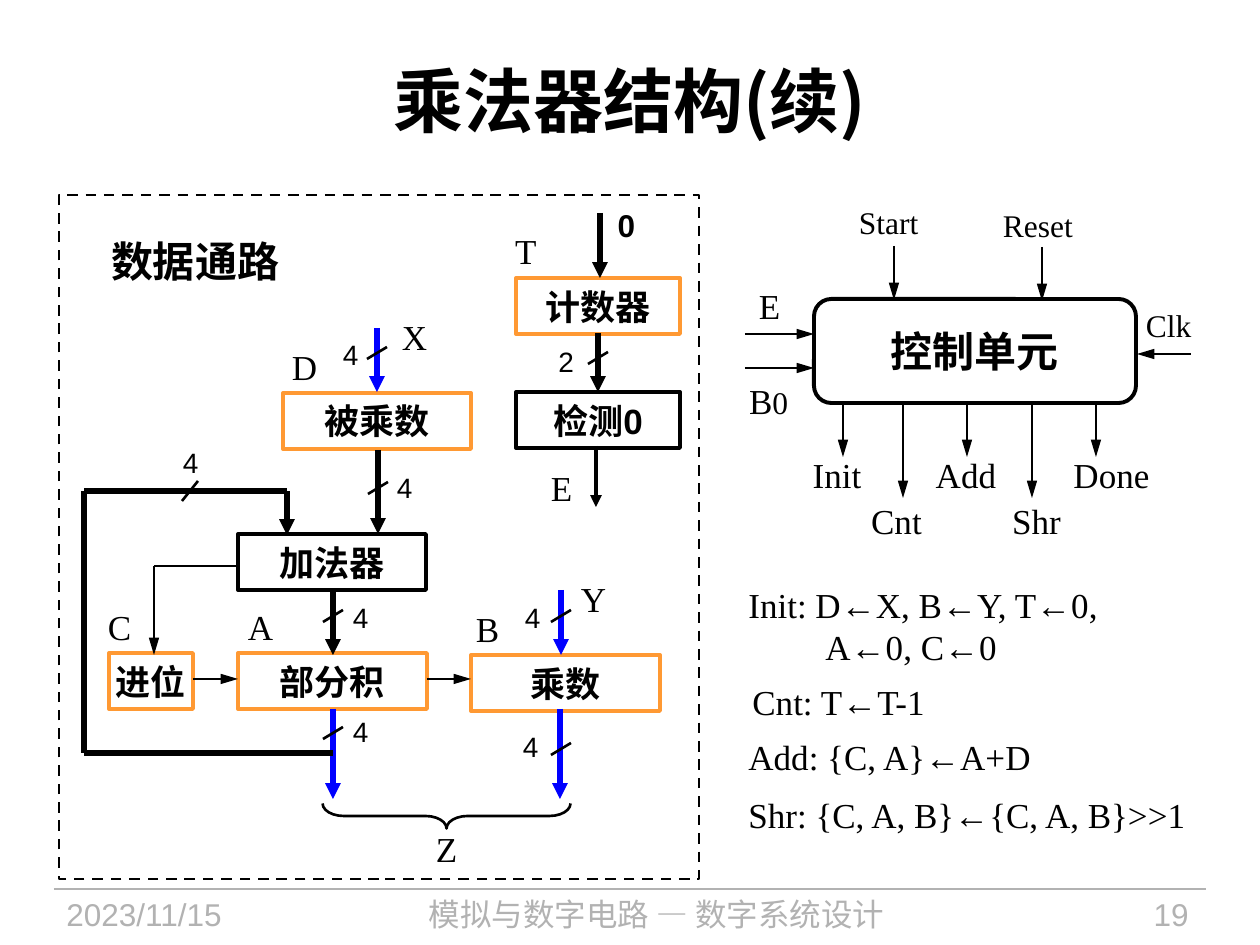
from lxml.etree import SubElement as Sub
from pptx import Presentation
from pptx.dml.color import RGBColor
from pptx.enum.dml import MSO_LINE as Dash
from pptx.enum.shapes import MSO_CONNECTOR as Conn, MSO_SHAPE as Shape
from pptx.enum.text import MSO_ANCHOR as Anchor, MSO_AUTO_SIZE as Fit, PP_ALIGN as Align
from pptx.oxml.ns import qn
from pptx.util import Emu, Pt

BLACK = RGBColor(0, 0, 0)
BLUE = RGBColor(0, 0, 255)
ORANGE = RGBColor(255, 153, 51)
GRAY = RGBColor(178, 178, 178)
SANS, SERIF, HAN = "Arial", "Times New Roman", "Noto Sans CJK SC"
LEFT, MID, RIGHT = Align.LEFT, Align.CENTER, Align.RIGHT

# Footer: text, left, width, alignment, font
FOOT = [("2023/11/15", 54, 237, LEFT, SANS),
        ("模拟与数字电路 — 数字系统设计", 302, 709, MID, HAN),
        ("19", 1033, 168, RIGHT, SANS)]

# Blocks of the data path: text, left, top, width, line colour
BLOCKS = [("被乘数", 283, 393, 188, ORANGE), ("加法器", 238, 534, 188, BLACK),
          ("乘数", 471, 655, 189, ORANGE), ("部分积", 238, 653, 189, ORANGE),
          ("进位", 109, 653, 84, ORANGE), ("计数器", 516, 278, 164, ORANGE),
          ("检测0", 516, 392, 164, BLACK)]

# Wires: x1, y1, x2, y2, line width, colour, arrow
WIRES = [(333, 590, 333, 655, 3, BLACK, True), (378, 450, 378, 534, 3, BLACK, True),
         (287, 491, 287, 535, 3, BLACK, True), (287, 491, 84, 491, 3, BLACK, False),
         (84, 491, 84, 753, 3, BLACK, False), (333, 709, 333, 799, 3, BLUE, True),
         (333, 753, 84, 753, 3, BLACK, False), (154, 566, 154, 655, 1.5, BLACK, True),
         (238, 566, 154, 566, 1.5, BLACK, False), (193, 679, 238, 679, 1.5, BLACK, True),
         (427, 679, 471, 679, 1.5, BLACK, True), (377, 328, 377, 392, 3, BLUE, True),
         (561, 590, 561, 655, 3, BLUE, True), (560, 709, 560, 799, 3, BLUE, True),
         (600, 213, 600, 278, 3, BLACK, True), (598, 333, 598, 392, 3, BLACK, True),
         (596, 446, 596, 507, 2.25, BLACK, True)]

# Bus marks: centre x, centre y, half width, half height
MARKS = [(378, 488, 10, 6), (333, 616, 10, 6), (333, 733, 10, 6), (377, 353, 10, 6),
         (561, 616, 10, 6), (561, 749, 10, 6), (598, 358, 10, 6), (190, 491, 8, 10)]
FOURS = [(397, 474), (353, 604), (353, 718), (183, 449), (343, 341), (525, 604), (523, 733)]

# Register names: text, left, top, width
NAMES = [("B", 476, 612, 24), ("A", 248, 610, 25), ("C", 108, 610, 24), ("D", 292, 350, 25),
         ("X", 402, 320, 25), ("Y", 581, 582, 25), ("Z", 436, 832, 21), ("T", 515, 234, 21),
         ("E", 551, 471, 21), ("E", 759, 289, 21)]

# Control unit inputs: text, left, top, width
INPUTS = [("Start", 859, 199, 60), ("Reset", 1003, 202, 71), ("Clk", 1146, 302, 48)]
INWIRES = [(894, 246, 894, 300), (1042, 247, 1042, 301), (1191, 354, 1137, 354),
           (745, 334, 814, 334), (745, 368, 814, 368)]

# Control unit outputs: text, left of label, width, wire x, long wire
OUTS = [("Init", 800, 74, 843, False), ("Cnt", 858, 77, 903, True),
        ("Add", 921, 90, 967, False), ("Shr", 999, 75, 1032, True),
        ("Done", 1060, 103, 1096, False)]

# Register transfers: lines, left, top, width, height
STEPS = [(["Init: D←X, B←Y, T←0,", "A←0, C←0"], 736, 577, 475, 97),
         (["Cnt: T←T-1"], 740, 674, 198, 55), (["Add: {C, A}←A+D"], 736, 729, 311, 54),
         (["Shr: {C, A, B}←{C, A, B}>>1"], 736, 787, 475, 55)]

prs = Presentation()


def px(n):
    return Emu(round(n * 914400 / 126))


prs.slide_width, prs.slide_height = px(1260), px(945)
page = prs.slides.add_slide(prs.slide_layouts[6])
shapes = page.shapes


def add_run(para, text, size, font, color=BLACK, bold=False):
    run = para.add_run()
    run.text = text
    run.font.size, run.font.bold, run.font.name = Pt(size), bold, font
    run.font.color.rgb = color
    Sub(run.font._element, qn("a:ea")).set("typeface", HAN)


def bare(frame):
    frame.margin_left = frame.margin_right = frame.margin_top = frame.margin_bottom = 0


def add_text(text, x, y, w, h, size, font, align=LEFT, color=BLACK, bold=False,
             inset=True, space=None, wrap=False):
    frame = shapes.add_textbox(px(x), px(y), px(w), px(h)).text_frame
    frame.word_wrap = wrap
    if not wrap:
        frame.auto_size = Fit.SHAPE_TO_FIT_TEXT
    if not inset:
        bare(frame)
    para = frame.paragraphs[0]
    para.alignment, para.line_spacing = align, space
    if text:
        add_run(para, text, size, font, color, bold)
    return frame


def add_line(x1, y1, x2, y2, width=1.5, color=BLACK, arrow=False):
    wire = shapes.add_connector(Conn.STRAIGHT, px(x1), px(y1), px(x2), px(y2))
    wire.line.width, wire.line.color.rgb = Pt(width), color
    if arrow:
        tail = Sub(wire.line._get_or_add_ln(), qn("a:tailEnd"))
        tail.set("type", "triangle")
        tail.set("w", "med")
        tail.set("len", "lg" if width < 2 else "med")
    Sub(wire._element.spPr, qn("a:effectLst"))


def add_box(kind, x, y, w, h, width, color=BLACK, text="", size=20):
    box = shapes.add_shape(kind, px(x), px(y), px(w), px(h))
    box.shadow.inherit = False
    box.fill.background()
    box.line.width, box.line.color.rgb = Pt(width), color
    if text:
        frame = box.text_frame
        bare(frame)
        frame.word_wrap, frame.vertical_anchor = False, Anchor.MIDDLE
        frame.paragraphs[0].alignment = MID
        add_run(frame.paragraphs[0], text, size, SANS, BLACK, True)
    return box


# Footer and title
add_line(54, 889, 1206, 889, 0.75, GRAY)
for text, x, w, align, font in FOOT:
    add_text(text, x, 889, w, 55, 18, font, align, GRAY, wrap=True)
head = add_text("乘法器结构(续)", 63, 18, 1134, 163, 40, HAN, MID, bold=True, wrap=True)
head.vertical_anchor = Anchor.MIDDLE

# Data path
add_box(Shape.RECTANGLE, 59, 195, 640, 684, 1.5).line.dash_style = Dash.DASH
add_text("数据通路", 98, 229, 194, 63, 24, SANS, MID, bold=True)
for text, x, y, w, color in BLOCKS:
    add_box(Shape.RECTANGLE, x, y, w, 56, 2.25, color, text)
for wire in WIRES:
    add_line(*wire)
for x, y, dx, dy in MARKS:
    add_line(x + dx, y - dy, x - dx, y + dy)
for x, y in FOURS:
    add_text("4", x, y, 15, 30, 16, SANS, inset=False, space=0.9)
for text, x, y, w in NAMES:
    add_text(text, x, y, w, 38, 20, SERIF, inset=False, space=0.9)
add_text("2", 546, 338, 40, 47, 16, SANS, MID)
add_text("0", 605, 200, 43, 50, 18, SANS, MID, bold=True)
brace = add_box(Shape.RIGHT_BRACE, 434, 692, 25, 248, 1.5)
brace.adjustments[0], brace.rotation = 0.84, 90

# Control unit
add_box(Shape.ROUNDED_RECTANGLE, 814, 299, 322, 104, 2.25, BLACK, "控制单元", 24)
for text, x, y, w in INPUTS:
    add_text(text, x, y, w, 39, 18, SERIF, inset=False, space=1.1)
bit = add_text("", 749, 384, 42, 38, 20, SERIF, inset=False, space=0.9).paragraphs[0]
add_run(bit, "B", 20, SERIF)
add_run(bit, "0", 18, SERIF)
for wire in INWIRES:
    add_line(*wire, arrow=True)
for text, x, w, mid, long in OUTS:
    add_line(mid, 403, mid, 498 if long else 457, arrow=True)
    add_text(text, x, 493 if long else 447, w, 55, 20, SERIF, MID)

# Register transfers
for lines, x, y, w, h in STEPS:
    frame = add_text(lines[0], x, y, w, h, 20, SERIF, wrap=len(lines) > 1)
    for more in lines[1:]:
        para = frame.add_paragraph()
        props = para._p.get_or_add_pPr()
        props.set("marL", str(px(77)))
        props.set("indent", "0")
        add_run(para, more, 20, SERIF)

prs.save("out.pptx")
